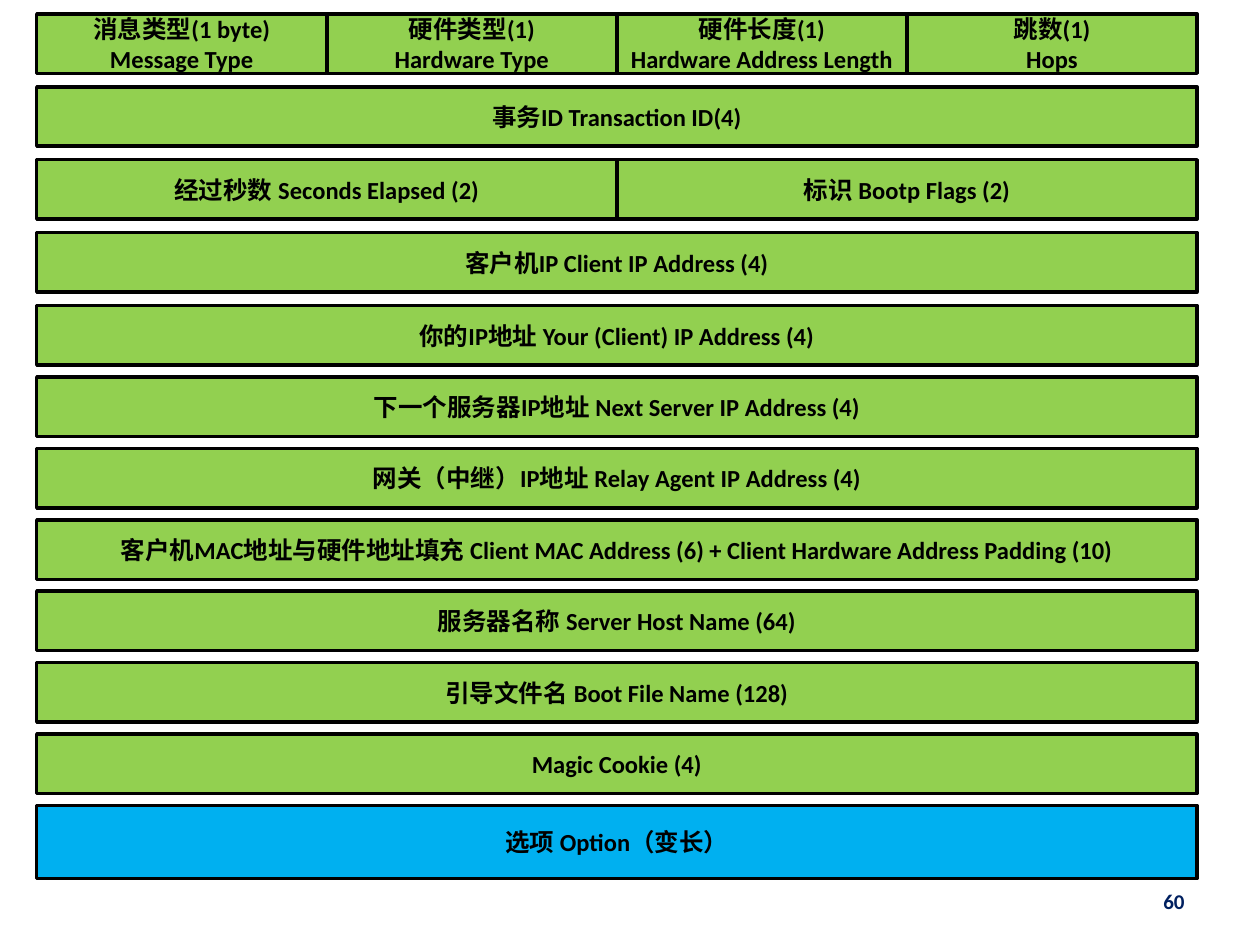
import pptx
import pptx.dml.color
import pptx.enum.shapes
import pptx.enum.text
import pptx.util

Cm = pptx.util.Cm
Pt = pptx.util.Pt

COLOURS = {"field": "92D050", "option": "00B0F0", "ink": "000000", "number": "002060"}
FONT = "Calibri"

# One tuple per row of the message; its fields share the width equally.
ROWS = [
    (
        "消息类型(1 byte)\nMessage Type",
        "硬件类型(1)\nHardware Type",
        "硬件长度(1)\nHardware Address Length",
        "跳数(1)\nHops",
    ),
    ("事务ID Transaction ID(4)",),
    ("经过秒数 Seconds Elapsed (2)", "标识 Bootp Flags (2)"),
    ("客户机IP Client IP Address (4)",),
    ("你的IP地址 Your (Client) IP Address (4)",),
    ("下一个服务器IP地址 Next Server IP Address (4)",),
    ("网关（中继）IP地址 Relay Agent IP Address (4)",),
    ("客户机MAC地址与硬件地址填充 Client MAC Address (6) + Client Hardware Address Padding (10)",),
    ("服务器名称 Server Host Name (64)",),
    ("引导文件名 Boot File Name (128)",),
    ("Magic Cookie (4)",),
    ("选项 Option（变长）",),
]
PAGE_NUMBER = "60"

LEFT, TOP, WIDTH = 0.74, 0.28, 23.39
FIELD_HEIGHT, OPTION_HEIGHT = 1.2, 1.47
UPPER_PITCH, LOWER_PITCH, UPPER_ROWS = 1.47, 1.44, 4


def rgb(name):
    return pptx.dml.color.RGBColor.from_string(COLOURS[name])


def write_text(shape, text, size, colour, alignment):
    frame = shape.text_frame
    frame.word_wrap = True
    frame.vertical_anchor = pptx.enum.text.MSO_ANCHOR.MIDDLE
    for index, line in enumerate(text.split("\n")):
        paragraph = frame.add_paragraph() if index else frame.paragraphs[0]
        paragraph.alignment = alignment
        run = paragraph.add_run()
        run.text = line
        run.font.name = FONT
        run.font.size = Pt(size)
        run.font.bold = True
        run.font.color.rgb = rgb(colour)


def add_field(slide, text, left, top, width, height, fill):
    shape = slide.shapes.add_shape(
        pptx.enum.shapes.MSO_SHAPE.RECTANGLE, Cm(left), Cm(top), Cm(width), Cm(height)
    )
    shape.shadow.inherit = False
    shape.fill.solid()
    shape.fill.fore_color.rgb = rgb(fill)
    shape.line.color.rgb = rgb("ink")
    shape.line.width = Pt(2)
    write_text(shape, text, 14, "ink", pptx.enum.text.PP_ALIGN.CENTER)


def row_top(index):
    """The lower rows sit slightly closer together than the upper ones."""
    upper = min(index, UPPER_ROWS)
    return TOP + upper * UPPER_PITCH + (index - upper) * LOWER_PITCH


def main():
    presentation = pptx.Presentation()
    presentation.slide_width = Cm(25.4)
    presentation.slide_height = Cm(19.05)
    slide = presentation.slides.add_slide(presentation.slide_layouts[6])

    number_box = slide.shapes.add_textbox(Cm(18.21), Cm(17.65), Cm(5.92), Cm(1.02))
    write_text(number_box, PAGE_NUMBER, 12, "number", pptx.enum.text.PP_ALIGN.RIGHT)

    for index, fields in enumerate(ROWS):
        is_option = index == len(ROWS) - 1
        height = OPTION_HEIGHT if is_option else FIELD_HEIGHT
        fill = "option" if is_option else "field"
        width = WIDTH / len(fields)
        for column, text in enumerate(fields):
            add_field(slide, text, LEFT + column * width, row_top(index), width, height, fill)

    presentation.save("out.pptx")


if __name__ == "__main__":
    main()
